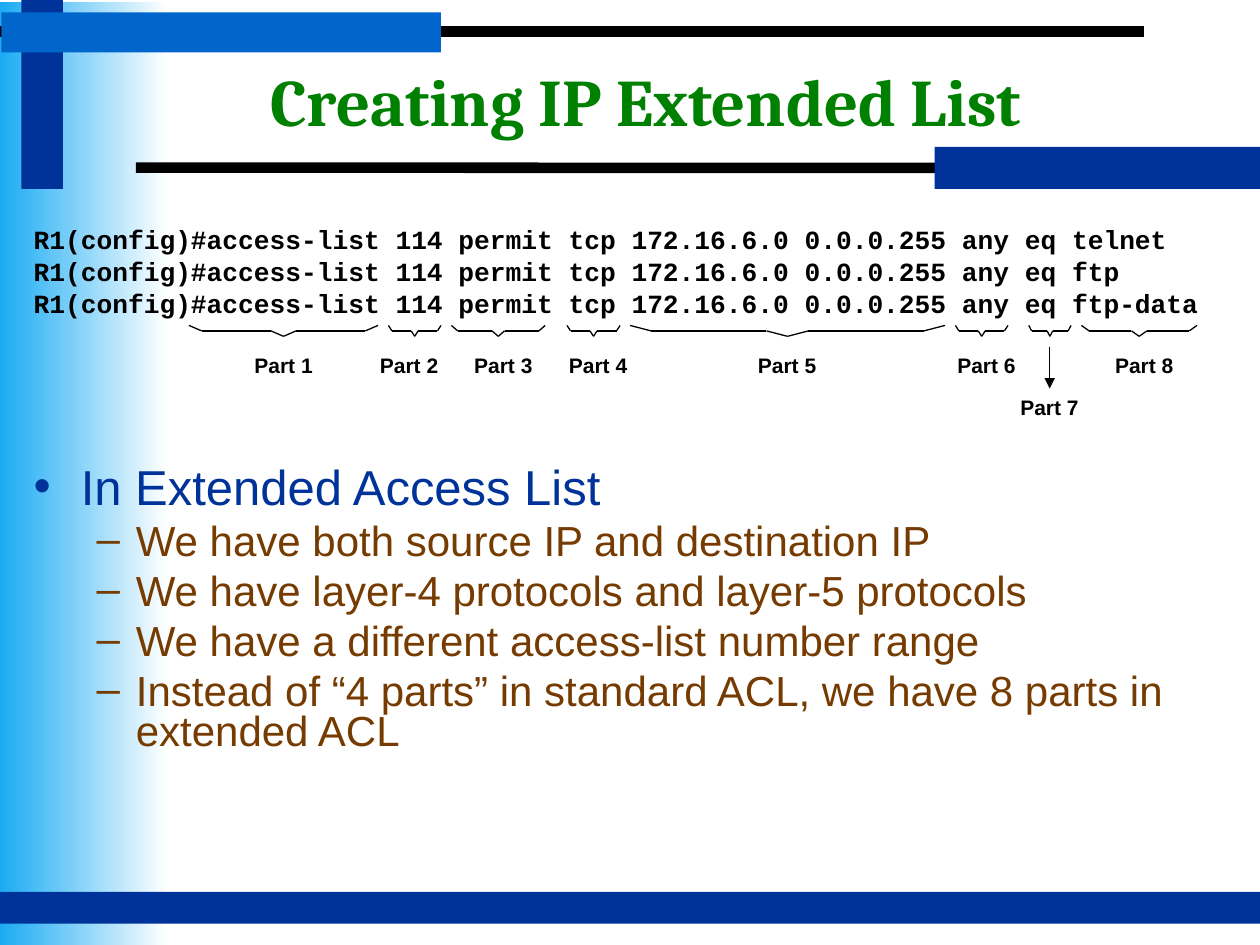
from lxml.etree import SubElement
from pptx import Presentation
from pptx.dml.color import RGBColor
from pptx.enum.shapes import MSO_CONNECTOR, MSO_SHAPE
from pptx.enum.text import MSO_ANCHOR, MSO_AUTO_SIZE, PP_ALIGN
from pptx.oxml.ns import qn
from pptx.util import Cm, Pt

BLACK = RGBColor(0x00, 0x00, 0x00)
WHITE = RGBColor(0xFF, 0xFF, 0xFF)
SKY = RGBColor(0x1B, 0xAB, 0xF3)
NAVY = RGBColor(0x00, 0x33, 0x99)
BLUE = RGBColor(0x00, 0x66, 0xCC)
GREEN = RGBColor(0x00, 0x80, 0x00)
BROWN = RGBColor(0x76, 0x3B, 0x00)


def add_line(shapes, start, end, width):
    line = shapes.add_connector(
        MSO_CONNECTOR.STRAIGHT, Cm(start[0]), Cm(start[1]), Cm(end[0]), Cm(end[1])
    )
    line.line.color.rgb = BLACK
    line.line.width = Pt(width)
    SubElement(line._element.spPr, qn("a:effectLst"))
    return line


def add_run(paragraph, text, font_name, size, color, bold):
    run = paragraph.add_run()
    run.text = text
    run.font.name = font_name
    run.font.size = Pt(size)
    run.font.color.rgb = color
    run.font.bold = bold


presentation = Presentation()
presentation.slide_width = Cm(25.4)
presentation.slide_height = Cm(19.05)
slide = presentation.slides.add_slide(presentation.slide_layouts[5])
shapes = slide.shapes

side_fade = shapes.add_shape(MSO_SHAPE.RECTANGLE, Cm(0), Cm(0.05), Cm(3.38), Cm(19))
side_fade.shadow.inherit = False
side_fade.line.fill.background()
side_fade.fill.gradient()
side_fade.fill.gradient_angle = 0
for stop, position, color in zip(side_fade.fill.gradient_stops, (0, 1), (SKY, WHITE)):
    stop.position = position
    stop.color.rgb = color

title_rule = add_line(shapes, (2.74, 3.38), (25.4, 3.38), 6)
add_line(shapes, (0, 0.64), (23.06, 0.64), 6)

bars = {}
for name, left, top, width, height, color in (
    ("vertical", 0.43, 0, 0.84, 3.81, NAVY),
    ("top", 0.03, 0.25, 8.86, 0.81, BLUE),
    ("title end", 18.84, 2.96, 6.56, 0.85, NAVY),
    ("bottom", 0, 17.98, 25.4, 0.64, NAVY),
):
    bar = shapes.add_shape(MSO_SHAPE.RECTANGLE, Cm(left), Cm(top), Cm(width), Cm(height))
    bar.shadow.inherit = False
    bar.fill.solid()
    bar.fill.fore_color.rgb = color
    bar.line.fill.background()
    bars[name] = bar
title_rule.end_connect(bars["title end"], 3)

title = shapes.title
title.left, title.top, title.width, title.height = Cm(1.27), Cm(0.85), Cm(23.5), Cm(2.33)
title.text_frame.auto_size = MSO_AUTO_SIZE.NONE
title.text_frame.vertical_anchor = MSO_ANCHOR.MIDDLE
paragraph = title.text_frame.paragraphs[0]
paragraph.alignment = PP_ALIGN.CENTER
add_run(paragraph, "Creating IP Extended List", "Cambria", 38, GREEN, True)

commands = shapes.add_textbox(Cm(0.43), Cm(4.5), Cm(24.55), Cm(2)).text_frame
commands.word_wrap = True
for index, service in enumerate(("telnet", "ftp", "ftp-data")):
    paragraph = commands.add_paragraph() if index else commands.paragraphs[0]
    paragraph.line_spacing = 0.8
    paragraph.space_before = Pt(3.8 if index else 0)
    command = f"R1(config)#access-list 114 permit tcp 172.16.6.0 0.0.0.255 any eq {service}"
    add_run(paragraph, command, "Courier New", 15, BLACK, True)

bullets = shapes.add_textbox(Cm(0.43), Cm(9.3), Cm(24.55), Cm(6.58)).text_frame
bullets.word_wrap = True
for index, (level, text) in enumerate((
    (0, "In Extended Access List"),
    (1, "We have both source IP and destination IP"),
    (1, "We have layer-4 protocols and layer-5 protocols"),
    (1, "We have a different access-list number range"),
    (1, "Instead of “4 parts” in standard ACL, we have 8 parts in extended ACL"),
)):
    paragraph = bullets.add_paragraph() if index else bullets.paragraphs[0]
    margin, indent, mark, size, color = (
        (0.95, -0.95, "•", 28, NAVY),
        (2.06, -0.79, "–", 24, BROWN),
    )[level]
    paragraph.level = level
    paragraph.line_spacing = 0.8
    paragraph.space_before = Pt(5.5 if index else 0)
    properties = paragraph._p.get_or_add_pPr()
    properties.set("marL", str(Cm(margin)))
    properties.set("indent", str(Cm(indent)))
    SubElement(properties, qn("a:buFont")).set("typeface", "Arial")
    SubElement(properties, qn("a:buChar")).set("char", mark)
    add_run(paragraph, text, "Arial", size, color, False)

BRACE_TOP, BRACE_MIDDLE, BRACE_TIP = 6.56, 6.67, 6.78
brace_outline = (
    (0, BRACE_TOP), (1 / 15, BRACE_MIDDLE), (13 / 30, BRACE_MIDDLE), (1 / 2, BRACE_TIP),
    (17 / 30, BRACE_MIDDLE), (14 / 15, BRACE_MIDDLE), (1, BRACE_TOP),
)
parts = (
    (3.81, 7.62, 4.88, 6.99),
    (7.83, 8.89, 7.41, 6.99),
    (9.1, 10.99, 9.31, 6.99),
    (11.43, 12.5, 11.22, 6.99),
    (12.7, 19.05, 15.03, 6.99),
    (19.26, 20.32, 19.05, 6.99),
    (20.74, 21.59, 20.32, 7.83),
    (21.8, 24.13, 22.23, 6.99),
)
labels = []
for number, (left, right, label_left, label_top) in enumerate(parts, start=1):
    brace = shapes.add_group_shape()
    points = [(left + (right - left) * ratio, y) for ratio, y in brace_outline]
    for start, end in zip(points, points[1:]):
        add_line(brace.shapes, start, end, 0.75)
    label = shapes.add_textbox(Cm(label_left), Cm(label_top), Cm(1.68), Cm(0.76))
    label.text_frame.word_wrap = False
    label.text_frame.auto_size = MSO_AUTO_SIZE.SHAPE_TO_FIT_TEXT
    add_run(label.text_frame.paragraphs[0], f"Part {number}", "Arial", 12, BLACK, True)
    labels.append(label)

arrow = add_line(shapes, (21.16, 6.99), (21.16, 7.83), 0.75)
arrow.end_connect(labels[6], 0)
SubElement(arrow.line._get_or_add_ln(), qn("a:tailEnd")).set("type", "triangle")

presentation.save("out.pptx")
